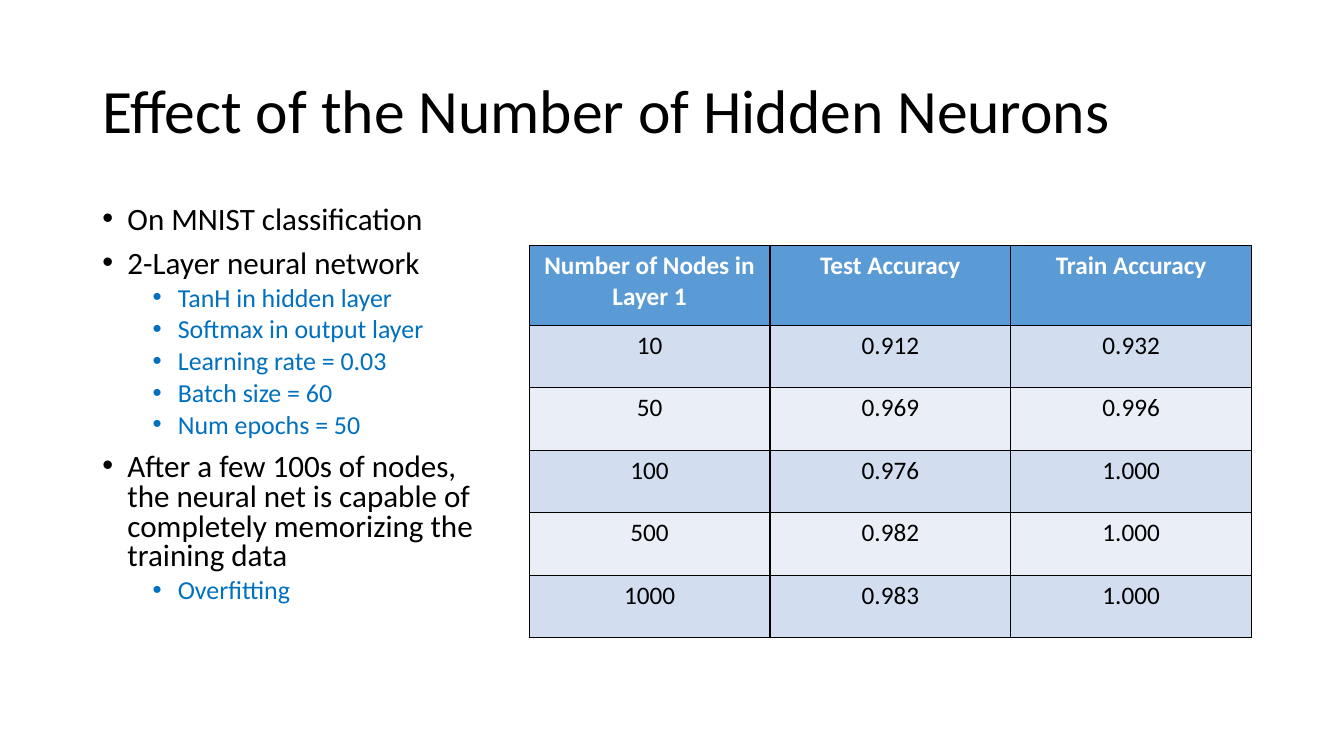
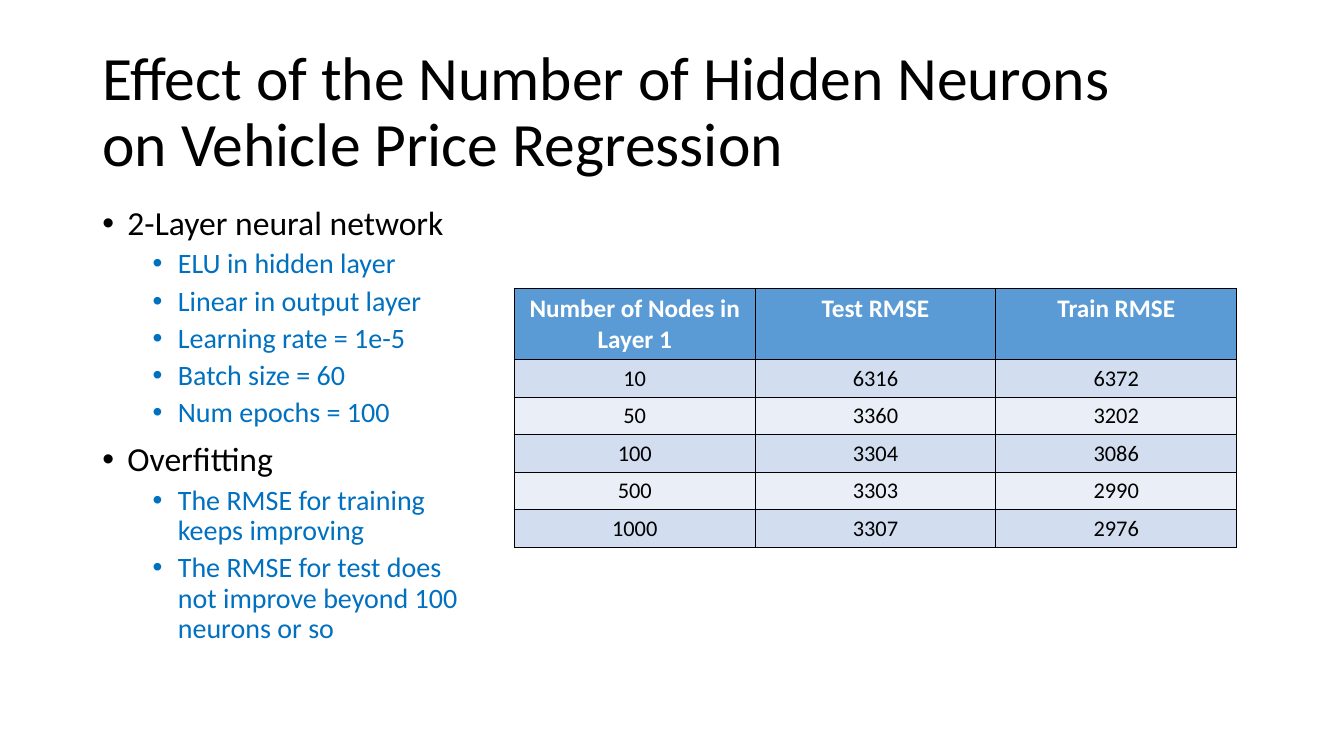
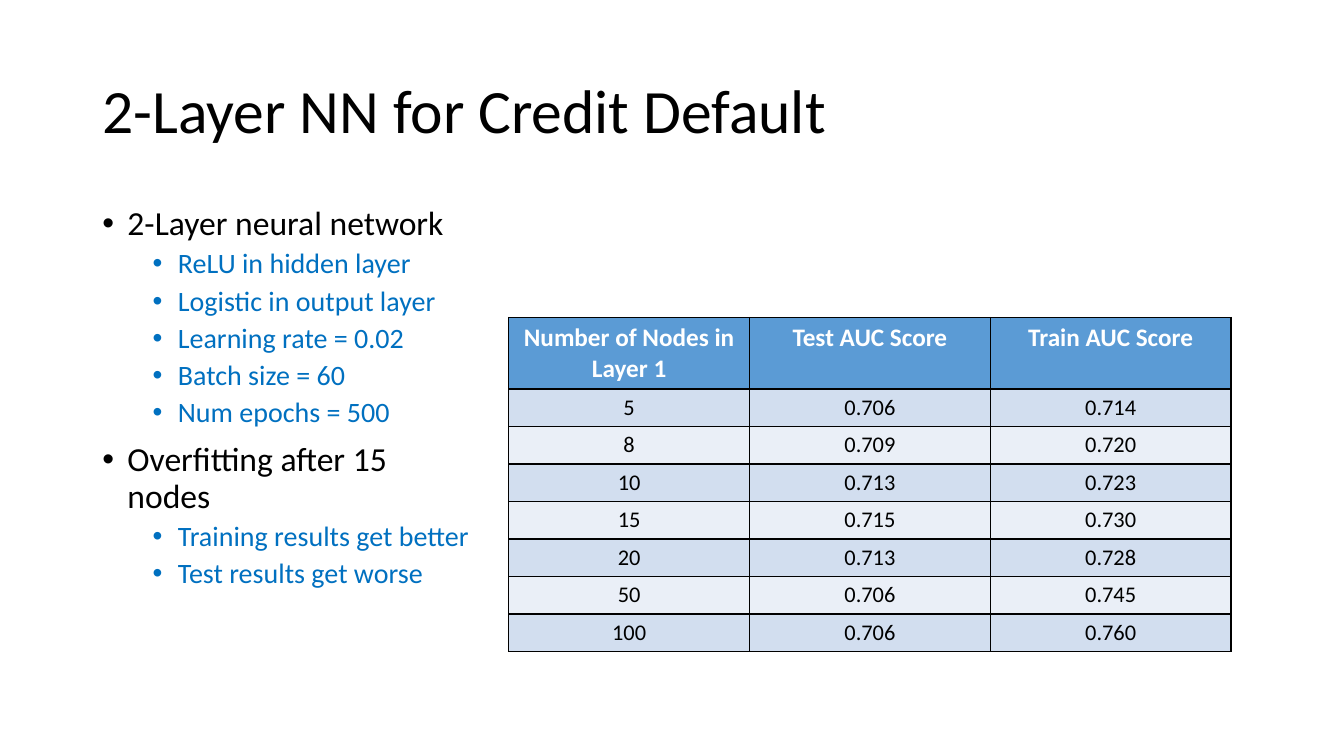
"""Build three slides on hidden layer size, each with a bullet list and a results table."""
import lxml.etree
import pptx
import pptx.dml.color
import pptx.enum.text
import pptx.oxml.ns
import pptx.util

Pt = pptx.util.Pt
FONT = "Calibri"
COLORS = {
    "text": "000000",
    "detail": "0070C0",
    "header": "5B9BD5",
    "header_text": "FFFFFF",
    "odd_row": "D2DEEF",
    "even_row": "EAEFF7",
    "border": "000000",
}
LEFT = 66
COLUMN_WIDTH = 172
NODES = "Number of Nodes in Layer 1"


def rgb(name):
    return pptx.dml.color.RGBColor.from_string(COLORS[name])


def add_element(parent, tag, **attributes):
    return lxml.etree.SubElement(parent, pptx.oxml.ns.qn(tag), attributes)


def add_span(para, text, size, color, bold=False):
    span = para.add_run()
    span.text = text
    span.font.name = FONT
    span.font.size = Pt(size)
    span.font.bold = bold
    span.font.color.rgb = rgb(color)


def add_box(page, top, width, height):
    box = page.shapes.add_textbox(Pt(LEFT), Pt(top), Pt(width), Pt(height))
    box.text_frame.word_wrap = True
    return box.text_frame


def add_title(page, text, width=828):
    frame = add_box(page, 28.8, width, 104.4)
    frame.vertical_anchor = pptx.enum.text.MSO_ANCHOR.MIDDLE
    para = frame.paragraphs[0]
    para.line_spacing = 0.9
    add_span(para, text, 44, "text")


def add_bullet(para, text, level, size, spacing):
    para.level = level
    para.line_spacing = spacing
    para.space_before = Pt(5 if level else 10)
    properties = para._p.get_or_add_pPr()
    properties.set("marL", str(Pt(54 if level else 18)))
    properties.set("indent", str(Pt(-18)))
    add_element(properties, "a:buFont", typeface="Arial")
    add_element(properties, "a:buChar", char="•")
    add_span(para, text, size, "detail" if level else "text")


def add_bullets(page, groups, sizes=(24, 20), spacing=0.9, height=307.4):
    frame = add_box(page, 144, 282, height)
    items = []
    for heading, details in groups:
        items.append((heading, 0))
        items.extend((detail, 1) for detail in details)
    for index, (text, level) in enumerate(items):
        para = frame.add_paragraph() if index else frame.paragraphs[0]
        add_bullet(para, text, level, sizes[level], spacing)


def add_borders(cell):
    properties = cell._tc.get_or_add_tcPr()
    for index, side in enumerate(("a:lnL", "a:lnR", "a:lnT", "a:lnB")):
        line = add_element(properties, side, w=str(Pt(1)))
        fill = add_element(line, "a:solidFill")
        add_element(fill, "a:srgbClr", val=COLORS["border"])
        properties.insert(index, line)


def fill_cell(cell, text, size, color, fill, bold):
    cell.fill.solid()
    cell.fill.fore_color.rgb = rgb(fill)
    add_borders(cell)
    para = cell.text_frame.paragraphs[0]
    para.alignment = pptx.enum.text.PP_ALIGN.CENTER
    add_span(para, text, size, color, bold)


def add_results(page, left, top, rows, size=16, header_height=51, row_height=26.8):
    count = len(rows[0])
    height = header_height + row_height * (len(rows) - 1)
    frame = page.shapes.add_table(
        len(rows), count, Pt(left), Pt(top), Pt(COLUMN_WIDTH * count), Pt(height))
    table = frame.table
    for column in table.columns:
        column.width = Pt(COLUMN_WIDTH)
    for index, values in enumerate(rows):
        table.rows[index].height = Pt(row_height if index else header_height)
        for column, value in enumerate(values):
            cell = table.cell(index, column)
            if index:
                fill = "odd_row" if index % 2 else "even_row"
                fill_cell(cell, value, size, "text", fill, False)
            else:
                fill_cell(cell, value, 18, "header_text", "header", True)


def add_page(deck):
    return deck.slides.add_slide(deck.slide_layouts[6])


def add_classification(deck):
    page = add_page(deck)
    add_title(page, "Effect of the Number of Hidden Neurons")
    add_results(page, 378, 175.5, [
        (NODES, "Test Accuracy", "Train Accuracy"),
        ("10", "0.912", "0.932"),
        ("50", "0.969", "0.996"),
        ("100", "0.976", "1.000"),
        ("500", "0.982", "1.000"),
        ("1000", "0.983", "1.000"),
    ], size=18, header_height=57, row_height=44.6)
    add_bullets(page, [
        ("On MNIST classification", []),
        ("2-Layer neural network", [
            "TanH in hidden layer", "Softmax in output layer", "Learning rate = 0.03",
            "Batch size = 60", "Num epochs = 50"]),
        ("After a few 100s of nodes, the neural net is capable of completely "
         "memorizing the training data", ["Overfitting"]),
    ], sizes=(22.2, 18.5), spacing=0.8)


def add_regression(deck):
    page = add_page(deck)
    add_title(page, "Effect of the Number of Hidden Neurons on Vehicle Price Regression",
              width=735)
    add_bullets(page, [
        ("2-Layer neural network", [
            "ELU in hidden layer", "Linear in output layer", "Learning rate = 1e-5",
            "Batch size = 60", "Num epochs = 100"]),
        ("Overfitting", [
            "The RMSE for training keeps improving",
            "The RMSE for test does not improve beyond 100 neurons or so"]),
    ], height=342.7)
    add_results(page, 367.4, 206, [
        (NODES, "Test RMSE", "Train RMSE"),
        ("10", "6316", "6372"),
        ("50", "3360", "3202"),
        ("100", "3304", "3086"),
        ("500", "3303", "2990"),
        ("1000", "3307", "2976"),
    ])


def add_credit_default(deck):
    page = add_page(deck)
    add_title(page, "2-Layer NN for Credit Default")
    add_bullets(page, [
        ("2-Layer neural network", [
            "ReLU in hidden layer", "Logistic in output layer", "Learning rate = 0.02",
            "Batch size = 60", "Num epochs = 500"]),
        ("Overfitting after 15 nodes", [
            "Training results get better", "Test results get worse"]),
    ])
    add_results(page, 363.4, 226.8, [
        (NODES, "Test AUC Score", "Train AUC Score"),
        ("5", "0.706", "0.714"),
        ("8", "0.709", "0.720"),
        ("10", "0.713", "0.723"),
        ("15", "0.715", "0.730"),
        ("20", "0.713", "0.728"),
        ("50", "0.706", "0.745"),
        ("100", "0.706", "0.760"),
    ])


def main():
    deck = pptx.Presentation()
    deck.slide_width = Pt(960)
    deck.slide_height = Pt(540)
    add_classification(deck)
    add_regression(deck)
    add_credit_default(deck)
    deck.save("out.pptx")


if __name__ == "__main__":
    main()
